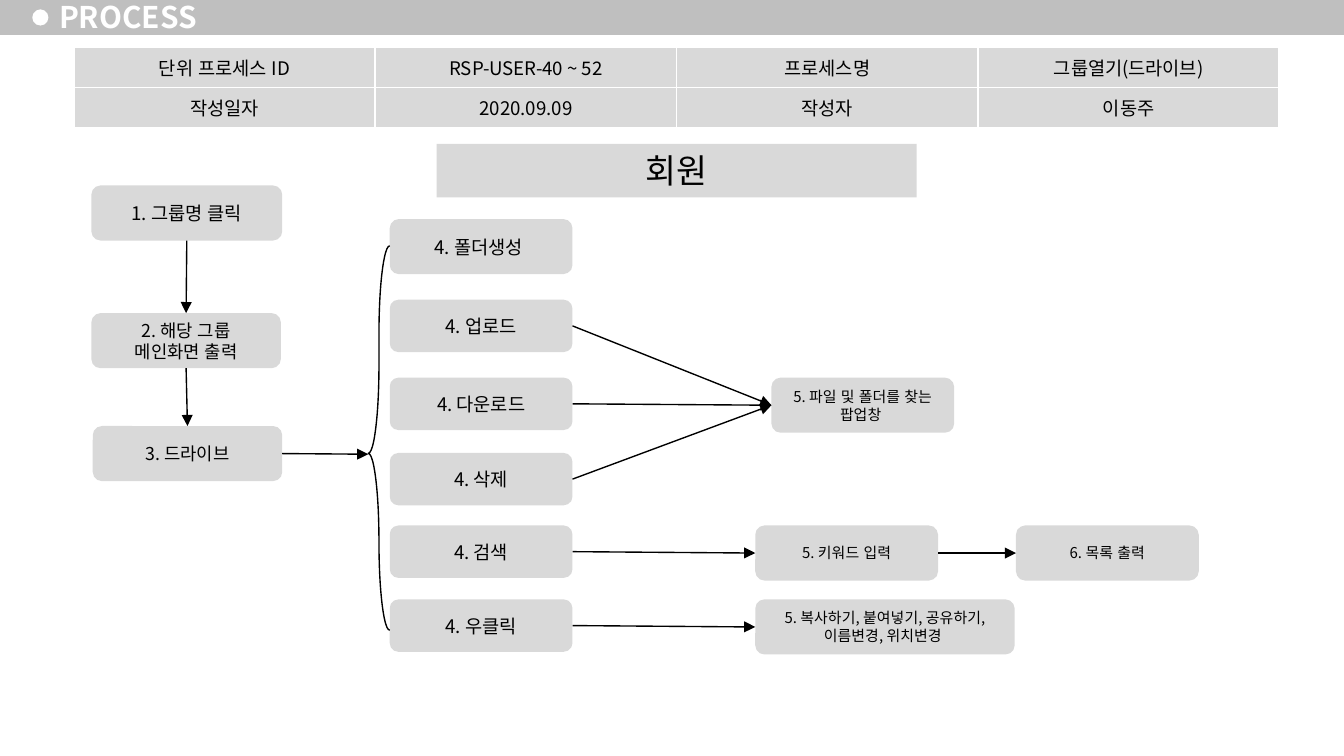
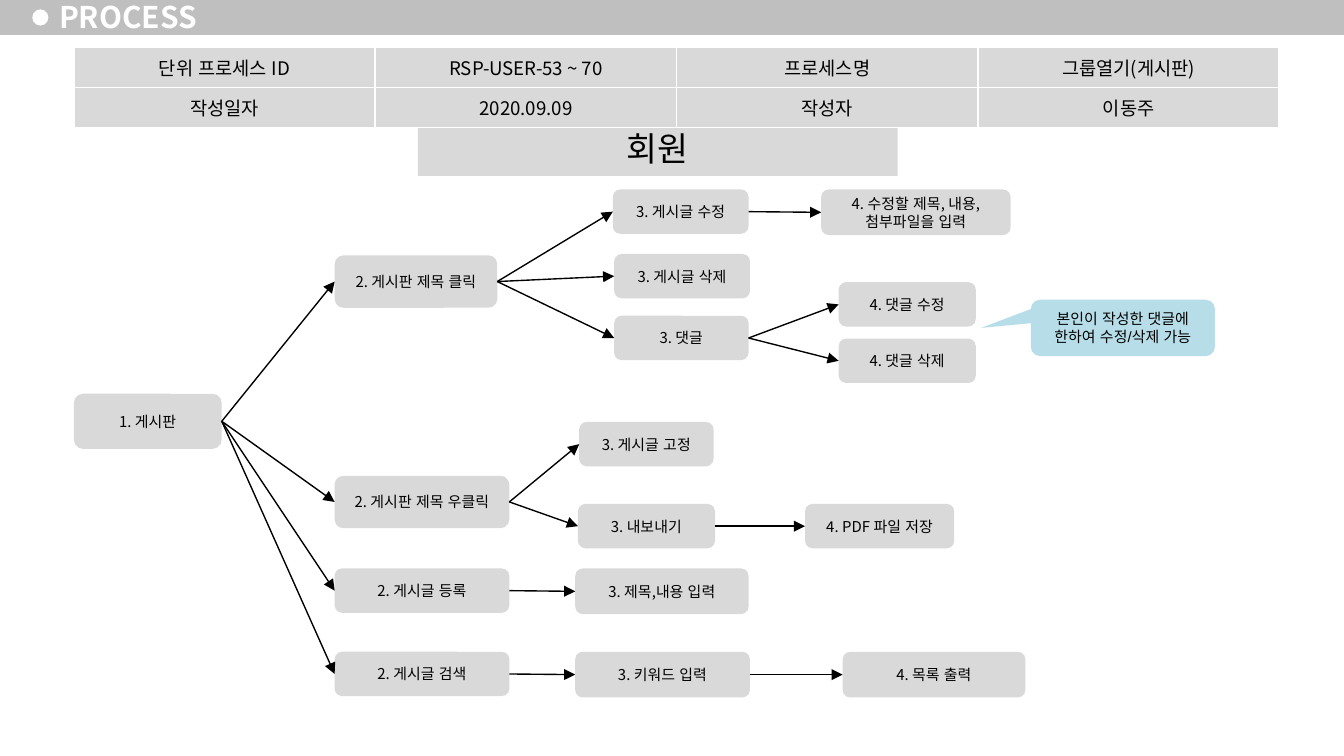
from dataclasses import dataclass
from typing import Any

from lxml.etree import SubElement
from pptx import Presentation
from pptx.dml.color import RGBColor
from pptx.enum.lang import MSO_LANGUAGE_ID
from pptx.enum.shapes import MSO_CONNECTOR, MSO_SHAPE
from pptx.enum.text import MSO_ANCHOR, PP_ALIGN
from pptx.oxml import parse_xml
from pptx.oxml.ns import nsdecls, qn
from pptx.util import Inches, Pt

BLACK = RGBColor(0x00, 0x00, 0x00)
WHITE = RGBColor(0xFF, 0xFF, 0xFF)
BAND_GRAY = RGBColor(0xBF, 0xBF, 0xBF)
BOX_GRAY = RGBColor(0xD9, 0xD9, 0xD9)
NOTE_BLUE = RGBColor(0xB7, 0xDE, 0xE8)

FONT = "Noto Sans CJK KR"
NOTE_FONT = "Arial"
LINE_WIDTH = Pt(0.75)
SLIDE_WIDTH = Inches(10)
SLIDE_HEIGHT = Inches(10 * 9 / 16)
TOP, LEFT, BOTTOM, RIGHT = range(4)  # connection sites of a box
TABLE_AREA = (0.55, 0.35, 8.97, 0.6)


@dataclass(frozen=True)
class Step:
    """One rounded box of a flow; lengths in inches, size in points."""
    key: str
    text: str
    left: float
    top: float
    width: float
    height: float
    size: float = 8


@dataclass(frozen=True)
class Link:
    """Arrows from one step to one or more others."""
    start: str
    ends: tuple[str, ...]
    downward: bool = False


@dataclass(frozen=True)
class Process:
    """The heading data and the flow of one slide."""
    identifier: str
    name: str
    role_area: tuple[float, float, float, float]
    steps: tuple[Step, ...]
    links: tuple[Link, ...]


def menu_steps() -> tuple[Step, ...]:
    """Return the drive menu: one column of boxes of equal width."""
    menu = (("create", "폴더생성 ", 1.63, 0.41), ("upload", "업로드", 2.23, 0.39),
            ("download", "다운로드", 2.81, 0.39), ("delete", "삭제", 3.37, 0.39),
            ("search", "검색", 3.91, 0.39), ("right_click", "우클릭", 4.46, 0.39))
    return tuple(Step(key, f"4. {label}", 2.9, top, 1.36, height, 10)
                 for key, label, top, height in menu)


DRIVE = Process(
    "RSP-USER-40 ~ 52", "그룹열기(드라이브)", (3.25, 1.07, 3.57, 0.4),
    (
        Step("group", "1. 그룹명 클릭", 0.68, 1.38, 1.42, 0.41, 10),
        Step("main", "2. 해당 그룹 메인화면 출력", 0.68, 2.33, 1.41, 0.41, 9.5),
        Step("drive", "3. 드라이브", 0.69, 3.17, 1.41, 0.41, 9.5),
        *menu_steps(),
        Step("popup", "5. 파일 및 폴더를 찾는 팝업창 ", 5.74, 2.81, 1.36, 0.41),
        Step("keyword", "5. 키워드 입력", 5.62, 3.91, 1.36, 0.41),
        Step("list", "6. 목록 출력", 7.56, 3.91, 1.36, 0.41),
        Step("actions", "5. 복사하기, 붙여넣기, 공유하기, 이름변경, 위치변경 ",
             5.62, 4.46, 1.93, 0.41),
    ),
    (
        Link("group", ("main",), downward=True),
        Link("main", ("drive",), downward=True),
        Link("upload", ("popup",)),
        Link("download", ("popup",)),
        Link("delete", ("popup",)),
        Link("search", ("keyword",)),
        Link("keyword", ("list",)),
        Link("right_click", ("actions",)),
    ),
)

BOARD = Process(
    "RSP-USER-53 ~ 70", "그룹열기(게시판)", (3.11, 0.9, 3.57, 0.41),
    (
        Step("board", "1. 게시판", 0.55, 2.93, 1.1, 0.41),
        Step("click", "2. 게시판 제목 클릭", 2.49, 1.9, 1.21, 0.39),
        Step("right_click", "2. 게시판 제목 우클릭", 2.49, 3.54, 1.3, 0.39),
        Step("register", "2. 게시글 등록", 2.49, 4.23, 1.3, 0.33),
        Step("search", "2. 게시글 검색", 2.49, 4.85, 1.3, 0.33),
        Step("edit", "3. 게시글 수정", 4.56, 1.41, 1.01, 0.33),
        Step("delete", "3. 게시글 삭제", 4.57, 1.89, 1.01, 0.33),
        Step("comment", "3. 댓글", 4.57, 2.35, 1, 0.33),
        Step("pin", "3. 게시글 고정", 4.31, 3.14, 1, 0.33),
        Step("export", "3. 내보내기", 4.3, 3.75, 1.02, 0.33),
        Step("content", "3. 제목,내용 입력", 4.28, 4.23, 1.29, 0.34),
        Step("keyword", "3. 키워드 입력", 4.28, 4.85, 1.3, 0.34),
        Step("edit_form", "4. 수정할 제목, 내용, 첨부파일을 입력",
             6.11, 1.41, 1.41, 0.34),
        Step("comment_edit", "4. 댓글 수정", 6.24, 2.1, 1.02, 0.33),
        Step("comment_delete", "4. 댓글 삭제", 6.24, 2.52, 1.02, 0.33),
        Step("pdf", "4. PDF 파일 저장", 5.99, 3.75, 1.11, 0.33),
        Step("list", "4. 목록 출력", 6.27, 4.85, 1.36, 0.34),
    ),
    (
        Link("board", ("click", "right_click", "register", "search")),
        Link("click", ("edit", "delete", "comment")),
        Link("right_click", ("pin", "export")),
        Link("register", ("content",)),
        Link("search", ("keyword",)),
        Link("edit", ("edit_form",)),
        Link("comment", ("comment_edit", "comment_delete")),
        Link("export", ("pdf",)),
        Link("keyword", ("list",)),
    ),
)


def apply_format(target: Any, values: dict[str, Any]) -> None:
    """Set every attribute named in values on the target."""
    for name, value in values.items():
        setattr(target, name, value)


def write_text(frame: Any, text: str, size: float, color: RGBColor = BLACK,
               bold: bool = False, font: str = FONT,
               align: PP_ALIGN = PP_ALIGN.CENTER) -> None:
    """Write one formatted paragraph into a text frame."""
    paragraph = frame.paragraphs[0]
    paragraph.alignment = align
    run = paragraph.add_run()
    run.text = text
    apply_format(run.font, {"name": font, "size": Pt(size), "bold": bold,
                            "language_id": MSO_LANGUAGE_ID.KOREAN})
    run.font.color.rgb = color
    SubElement(run.font._element, qn("a:ea")).set("typeface", FONT)


def add_box(slide: Any, kind: MSO_SHAPE, area: tuple[float, ...], fill: RGBColor,
            text: str = "", size: float = 8, font: str = FONT,
            anchor: MSO_ANCHOR = MSO_ANCHOR.MIDDLE) -> Any:
    """Add a filled shape without outline or shadow, with optional text."""
    shape = slide.shapes.add_shape(kind, *map(Inches, area))
    shape.shadow.inherit = False
    shape.fill.solid()
    shape.fill.fore_color.rgb = fill
    shape.line.fill.background()
    if text:
        apply_format(shape.text_frame, {"word_wrap": True, "vertical_anchor": anchor})
        write_text(shape.text_frame, text, size, font=font)
    return shape


def add_arrow(slide: Any, start: Any, start_site: int, end: Any = None,
              end_site: int = LEFT, point: tuple[float, float] = (0, 0)) -> None:
    """Draw an arrow from a box to another box, or to a point if no box is given."""
    arrow = slide.shapes.add_connector(MSO_CONNECTOR.STRAIGHT, 0, 0, *map(Inches, point))
    arrow.begin_connect(start, start_site)
    if end is not None:
        arrow.end_connect(end, end_site)
    arrow.line.width = LINE_WIDTH
    arrow.line.color.rgb = BLACK
    SubElement(arrow.line._get_or_add_ln(), qn("a:tailEnd")).set("type", "triangle")
    SubElement(arrow._element.spPr, qn("a:effectLst"))


def add_header(slide: Any) -> None:
    """Draw the band, its bullet and the slide title."""
    add_box(slide, MSO_SHAPE.RECTANGLE, (0, -0.02, 10, 0.28), BAND_GRAY)
    add_box(slide, MSO_SHAPE.OVAL, (0.24, 0.07, 0.12, 0.12), WHITE)
    title = slide.shapes.add_textbox(*map(Inches, (0.35, -0.04, 1.22, 0.32)))
    frame = title.text_frame
    apply_format(frame, {
        "word_wrap": True, "vertical_anchor": MSO_ANCHOR.MIDDLE,
        "margin_left": Inches(0.09), "margin_right": Inches(0.09),
        "margin_top": Inches(0.04), "margin_bottom": Inches(0.04)})
    write_text(frame, "PROCESS", 16, WHITE, bold=True, align=PP_ALIGN.LEFT)


def format_cell(cell: Any, text: str) -> None:
    """Fill a table cell, give it white borders and write its text."""
    apply_format(cell, {
        "vertical_anchor": MSO_ANCHOR.MIDDLE,
        "margin_left": Inches(0.1), "margin_right": Inches(0.1),
        "margin_top": Inches(0.05), "margin_bottom": Inches(0.05)})
    properties = cell._tc.get_or_add_tcPr()
    for side in ("lnL", "lnR", "lnT", "lnB"):
        properties.append(parse_xml(
            f'<a:{side} {nsdecls("a")} w="{Pt(1)}"><a:solidFill>'
            f'<a:srgbClr val="{WHITE}"/></a:solidFill></a:{side}>'))
    cell.fill.solid()
    cell.fill.fore_color.rgb = BOX_GRAY
    write_text(cell.text_frame, text, 10)


def add_information_table(slide: Any, process: Process) -> None:
    """Add the table with the process identifier, name, date and author."""
    rows = (("단위 프로세스 ID", process.identifier, "프로세스명", process.name),
            ("작성일자", "2020.09.09", "작성자", "이동주"))
    table = slide.shapes.add_table(2, 4, *map(Inches, TABLE_AREA)).table
    for row_index, texts in enumerate(rows):
        for column_index, text in enumerate(texts):
            format_cell(table.cell(row_index, column_index), text)


def add_process_slide(presentation: Any, process: Process) -> tuple[Any, dict[str, Any]]:
    """Build a slide with header, table and flow; return it with its boxes."""
    slide = presentation.slides.add_slide(presentation.slide_layouts[6])
    add_header(slide)
    add_box(slide, MSO_SHAPE.RECTANGLE, process.role_area, BOX_GRAY, "회원", 18,
            anchor=MSO_ANCHOR.TOP)
    add_information_table(slide, process)
    boxes = {
        step.key: add_box(slide, MSO_SHAPE.ROUNDED_RECTANGLE,
                          (step.left, step.top, step.width, step.height),
                          BOX_GRAY, step.text, step.size)
        for step in process.steps}
    for link in process.links:
        start_site, end_site = (BOTTOM, TOP) if link.downward else (RIGHT, LEFT)
        for end in link.ends:
            add_arrow(slide, boxes[link.start], start_site, boxes[end], end_site)
    return slide, boxes


def add_menu_brace(slide: Any, drive_box: Any) -> None:
    """Add the brace around the drive menu and the arrow to its tip."""
    brace = add_box(slide, MSO_SHAPE.LEFT_BRACE, (2.74, 1.83, 0.16, 2.86), WHITE)
    brace.adjustments[0] = 4.16
    brace.adjustments[1] = 0.54
    brace.line.width = LINE_WIDTH
    brace.line.color.rgb = BLACK
    add_arrow(slide, drive_box, RIGHT, point=(2.74, 3.38))


def add_comment_note(slide: Any) -> None:
    """Add the callout about editing comments."""
    note = add_box(slide, MSO_SHAPE.ROUNDED_RECTANGULAR_CALLOUT, (7.67, 2.23, 1.37, 0.42),
                   NOTE_BLUE, "본인이 작성한 댓글에 한하여 수정/삭제 가능", font=NOTE_FONT)
    note.adjustments[0] = -0.77
    note.adjustments[1] = 0


def main() -> None:
    """Build the presentation."""
    presentation = Presentation()
    apply_format(presentation, {"slide_width": SLIDE_WIDTH, "slide_height": SLIDE_HEIGHT})
    drive_slide, drive_boxes = add_process_slide(presentation, DRIVE)
    add_menu_brace(drive_slide, drive_boxes["drive"])
    board_slide, _ = add_process_slide(presentation, BOARD)
    add_comment_note(board_slide)
    presentation.save("out.pptx")


main()
